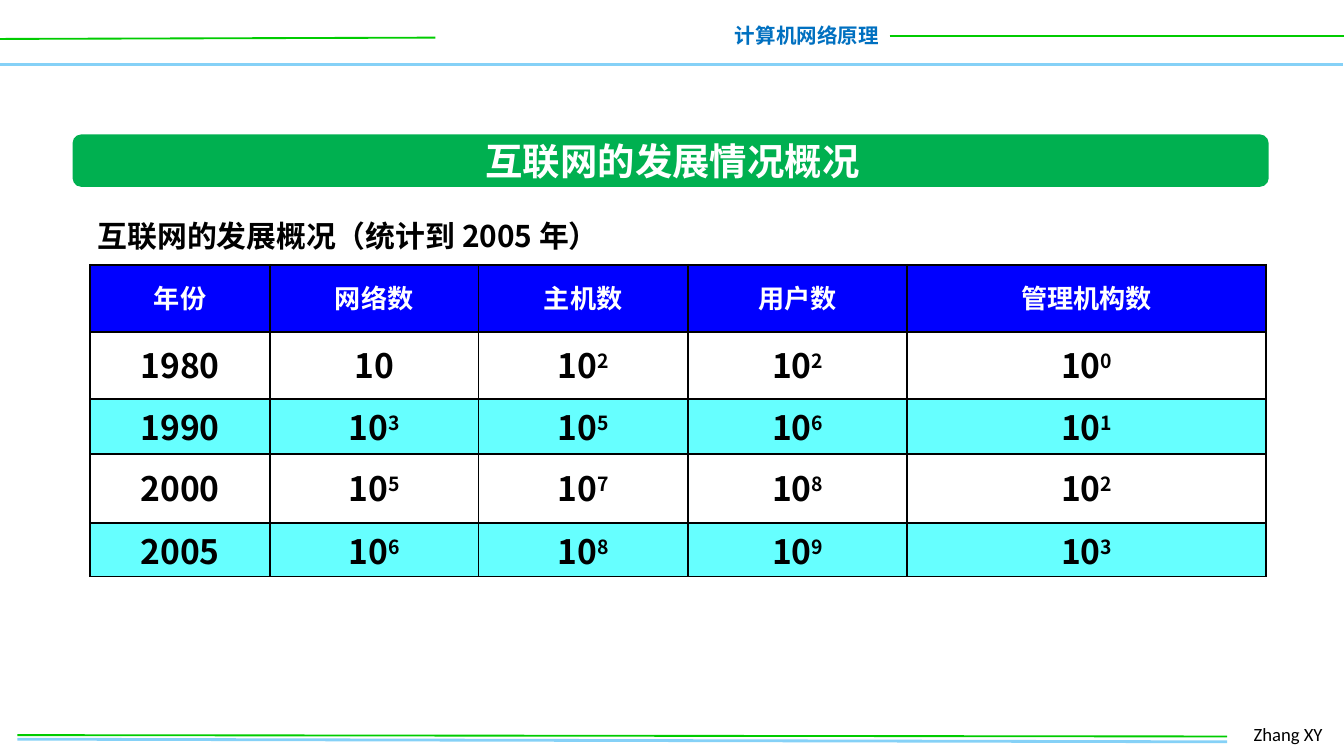
from lxml import etree
from pptx import Presentation
from pptx.dml.color import RGBColor
from pptx.enum.shapes import MSO_CONNECTOR, MSO_SHAPE
from pptx.enum.text import MSO_ANCHOR, MSO_AUTO_SIZE, PP_ALIGN
from pptx.oxml.ns import qn
from pptx.util import Pt

PX = 9144  # 100 px to the inch
WIDTH = 1000
LINE = MSO_CONNECTOR.STRAIGHT
ROUND = MSO_SHAPE.ROUNDED_RECTANGLE
MIDDLE = MSO_ANCHOR.MIDDLE
GROW = MSO_AUTO_SIZE.SHAPE_TO_FIT_TEXT
LEFT, CENTER, RIGHT = PP_ALIGN.LEFT, PP_ALIGN.CENTER, PP_ALIGN.RIGHT

CJK = "Noto Sans CJK SC"
BLACK, WHITE = "000000", "FFFFFF"
SKY, LIME, GREEN = "85D1F7", "00CC00", "00B050"
BLUE, CYAN = "0000FF", "66FFFF"

# Lines: start x, y, end x, y, colour, points
RULES = [
    (-1, 48, 999, 48, SKY, 2),
    (0, 29, 324, 28, LIME, 1),
    (662, 27, 1001, 27, LIME, 1),
    (13, 550, 913, 552, SKY, 1.5),
    (13, 547, 913, 548, LIME, 1),
]

# Table: a caret marks a power
HEADS = ["年份", "网络数", "主机数", "用户数", "管理机构数"]
DATA = [
    ["1980", "10", "10^2", "10^2", "10^0"],
    ["1990", "10^3", "10^5", "10^6", "10^1"],
    ["2000", "10^5", "10^7", "10^8", "10^2"],
    ["2005", "10^6", "10^8", "10^9", "10^3"],
]
COLS = [134, 155, 156, 163, 267]
ROWS = [50, 50, 41, 51, 40]


def px(*nums):
    return [num * PX for num in nums]


def rgb(code):
    return RGBColor.from_string(code)


def add_run(para, text, color, **form):
    run = para.add_run()
    run.text = text
    for key, val in form.items():
        setattr(run.font, key, val)
    run.font.color.rgb = rgb(color)
    props = run._r.get_or_add_rPr()
    etree.SubElement(props, qn("a:ea"), typeface=CJK)
    return props


def add_rule(slide, x1, y1, x2, y2, color, width):
    rule = slide.shapes.add_connector(LINE, *px(x1, y1, x2, y2))
    rule.line.color.rgb = rgb(color)
    rule.line.width = Pt(width)
    etree.SubElement(rule._element.spPr, qn("a:effectLst"))


def add_text(slide, at, text, color, size, align=LEFT, wrap=True,
             name=CJK, bold=True):
    frame = slide.shapes.add_textbox(*px(*at)).text_frame
    frame.word_wrap = wrap
    frame.auto_size = GROW
    para = frame.paragraphs[0]
    para.alignment = align
    add_run(para, text, color, size=Pt(size), name=name, bold=bold)


def add_band(slide, at, color):
    band = slide.shapes.add_shape(ROUND, *px(*at))
    band.shadow.inherit = False
    band.fill.solid()
    band.fill.fore_color.rgb = rgb(color)
    band.line.fill.background()


def add_edges(cell):
    props = cell._tc.get_or_add_tcPr()
    for side in "LRTB":
        edge = etree.SubElement(props, qn("a:ln" + side), w=str(Pt(1)))
        fill = etree.SubElement(edge, qn("a:solidFill"))
        etree.SubElement(fill, qn("a:srgbClr"), val=BLACK)


def fill_cell(cell, text, color, size, back):
    add_edges(cell)
    if back:
        cell.fill.solid()
        cell.fill.fore_color.rgb = rgb(back)
    else:
        cell.fill.background()
    cell.vertical_anchor = MIDDLE
    para = cell.text_frame.paragraphs[0]
    para.alignment = CENTER
    para.line_spacing = 0.9
    form = {"size": Pt(size), "name": CJK, "bold": True}
    base, _, power = text.partition("^")
    add_run(para, base, color, **form)
    if power:
        add_run(para, power, color, **form).set("baseline", "30000")


def add_grid(slide, left, top):
    rows = [HEADS] + DATA
    at = px(left, top, sum(COLS), sum(ROWS))
    grid = slide.shapes.add_table(len(rows), len(COLS), *at).table
    grid.first_row = grid.horz_banding = False
    for col, width in zip(grid.columns, COLS):
        col.width = width * PX
    for row, height in zip(grid.rows, ROWS):
        row.height = height * PX
    for i, row in enumerate(rows):
        if i == 0:
            look = (WHITE, 14, BLUE)
        else:
            look = (BLACK, 18, None if i % 2 else CYAN)
        for j, text in enumerate(row):
            fill_cell(grid.cell(i, j), text, *look)


def main():
    # Wide page, 16 to 9
    deck = Presentation()
    deck.slide_width = WIDTH * PX
    deck.slide_height = WIDTH * PX * 9 // 16
    slide = deck.slides.add_slide(deck.slide_layouts[6])

    # Header and footer
    for rule in RULES:
        add_rule(slide, *rule)
    add_text(slide, (536, 12, 128, 29), "计算机网络原理", "0070C0", 11,
             RIGHT, wrap=False)
    add_text(slide, (923, 533, 74, 27), "Zhang XY", BLACK, 10,
             name="Calibri", bold=False)

    # Title band
    add_band(slide, (54, 100, 890, 39), GREEN)
    add_text(slide, (350, 98, 301, 44), "互联网的发展情况概况", WHITE, 20,
             CENTER, wrap=False, name="Calibri")

    # Table with its caption
    add_text(slide, (63, 157, 429, 37),
             "互联网的发展概况（统计到 2005 年）", BLACK, 16)
    add_grid(slide, 67, 197)

    deck.save("out.pptx")


if __name__ == "__main__":
    main()
